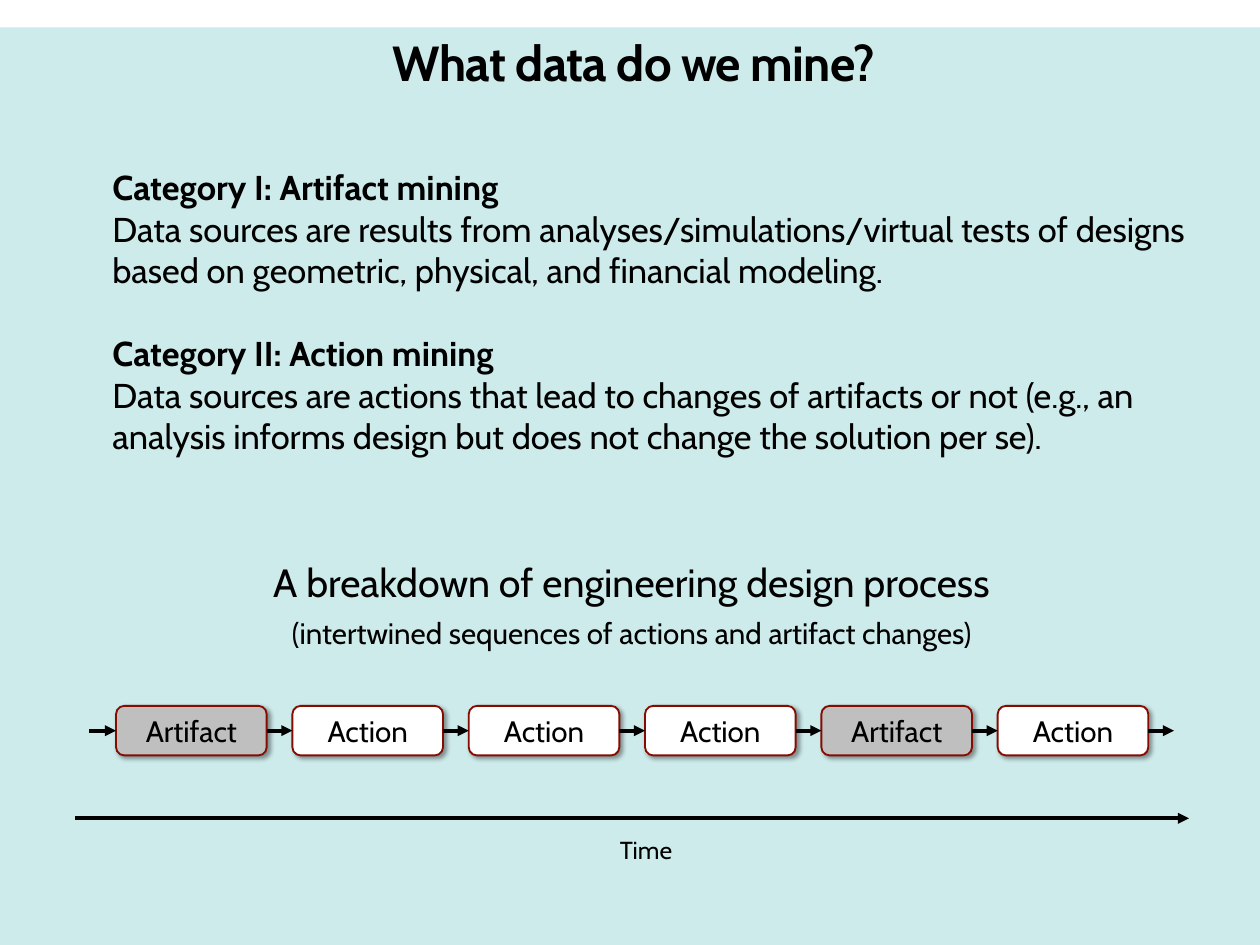
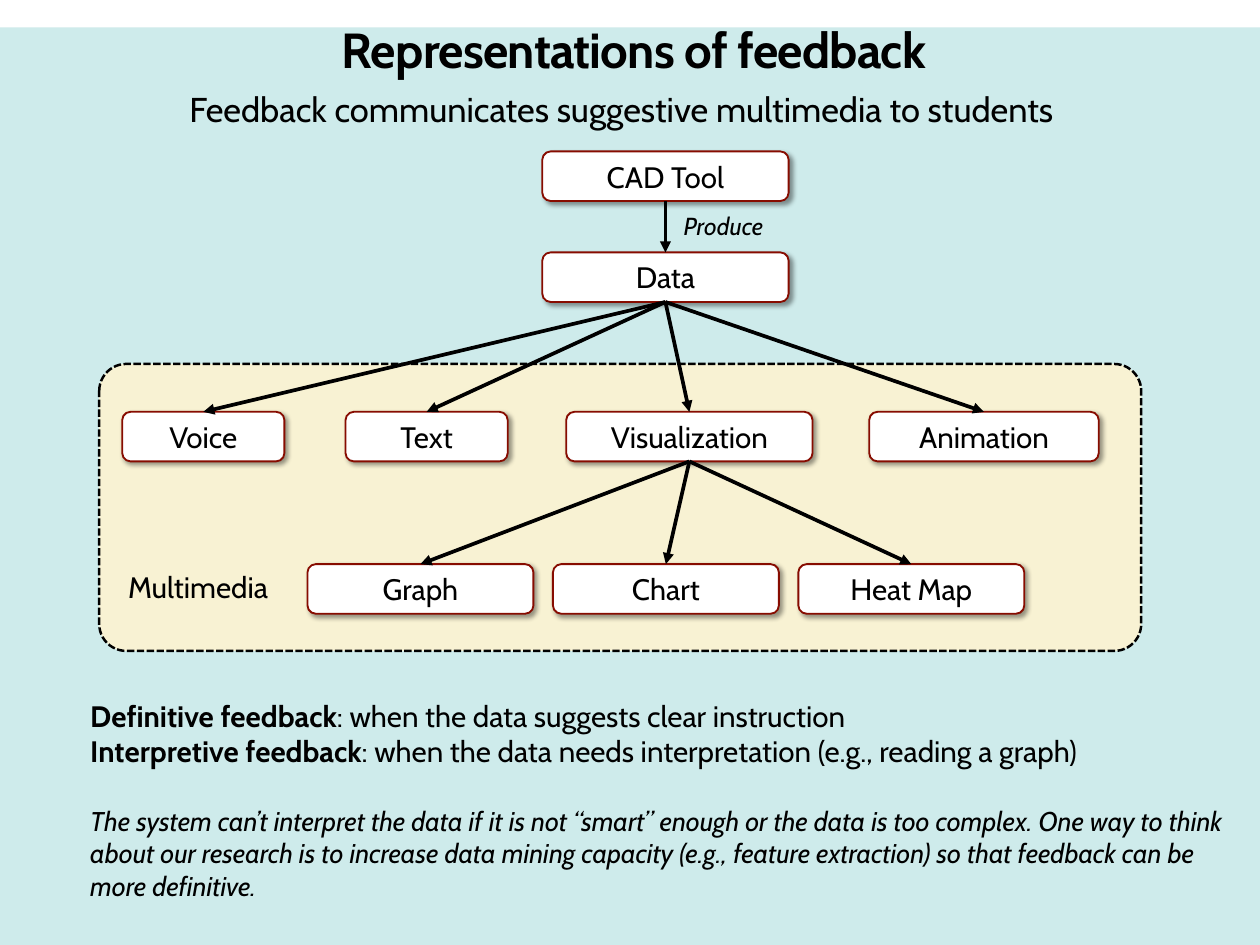
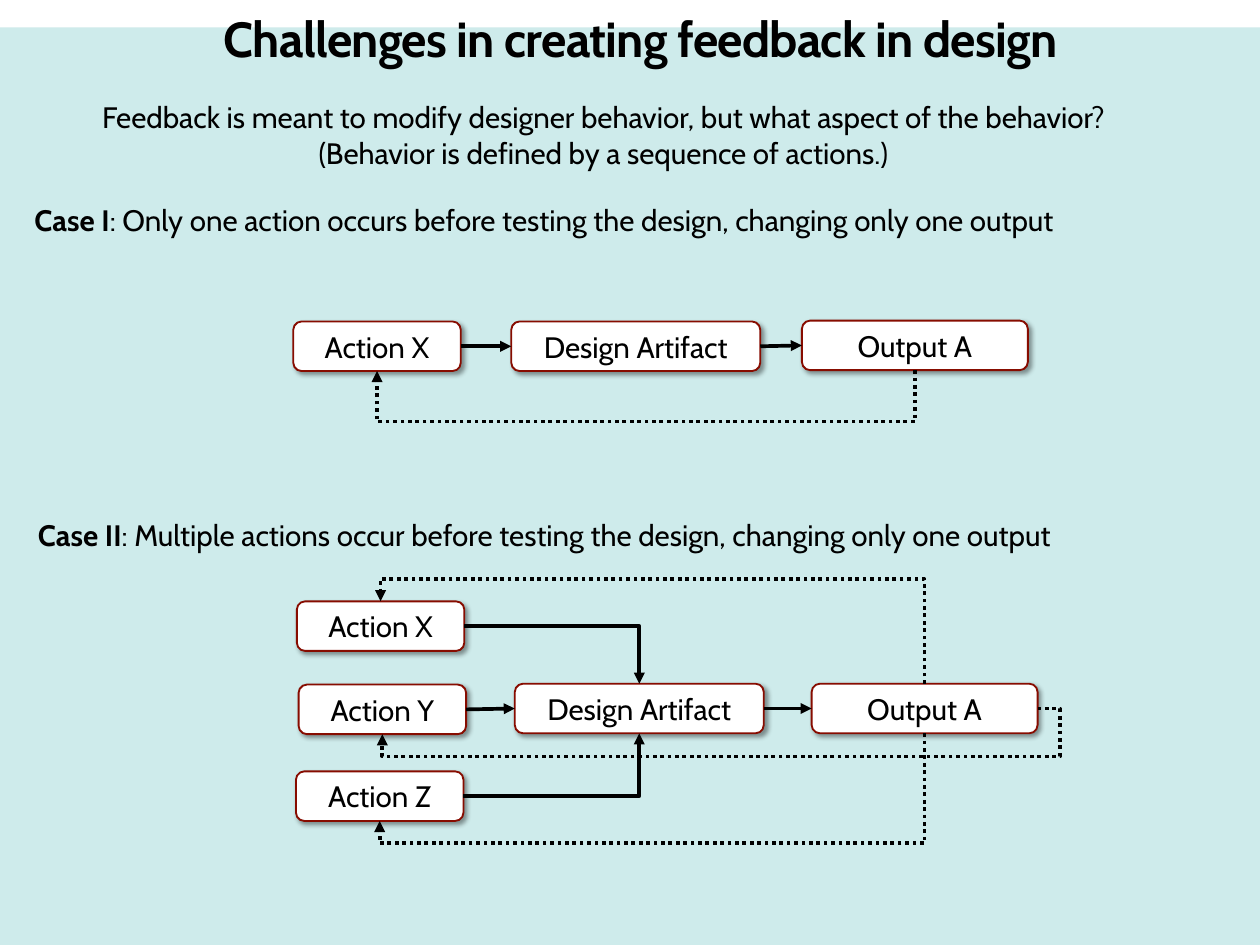
from lxml.etree import SubElement
from pptx import Presentation
from pptx.dml.color import RGBColor
from pptx.enum.dml import MSO_LINE as Dash
from pptx.enum.shapes import MSO_CONNECTOR as Connector, MSO_SHAPE as Shape
from pptx.enum.text import MSO_ANCHOR as Anchor, PP_ALIGN as Align
from pptx.oxml.ns import qn
from pptx.util import Inches, Pt

WIDTH, HEIGHT = 14.22, 10.67
BAND_TOP = 0.31
FONT = "Cabin"
NODE_HEIGHT = 0.56
DETOUR = 0.25
TOP, LEFT, BOTTOM, RIGHT = range(4)
COLORS = {
    "background": "CEEBEB", "text": "000000", "line": "000000", "border": "870C00",
    "action": "FFFFFF", "artifact": "BFBFBF", "panel": "F8F2D3", "shadow": "000000",
}

CATEGORIES = [
    {"runs": [("Category I: Artifact mining", True)]},
    {"runs": [("Data sources are results from analyses/simulations/virtual tests of designs "
               "based on geometric, physical, and financial modeling.", False)]},
    {"runs": [("Category II: Action mining", True)], "before": 34},
    {"runs": [("Data sources are actions that lead to changes of artifacts or not (e.g., an "
               "analysis informs design but does not change the solution per se).", False)]},
]
BREAKDOWN = [
    {"runs": [("A breakdown of engineering design process", False)], "size": 32, "after": 8},
    {"runs": [("(intertwined sequences of actions and artifact changes)", False)]},
]
PROCESS = ["Artifact", "Action", "Action", "Action", "Artifact", "Action"]
PROCESS_GRID = {"left": 1.31, "top": 7.97, "width": 1.7, "pitch": 1.99}

FEEDBACK_NODES = {
    "CAD Tool": (6.12, 1.71, 2.78),
    "Data": (6.12, 2.85, 2.78),
    "Voice": (1.38, 4.65, 1.83),
    "Text": (3.9, 4.65, 1.83),
    "Visualization": (6.39, 4.65, 2.78),
    "Animation": (9.81, 4.65, 2.59),
}
VISUALS = ["Graph", "Chart", "Heat Map"]
VISUAL_GRID = {"left": 3.47, "top": 6.37, "width": 2.55, "pitch": 2.77}
FEEDBACK_TREE = {
    "CAD Tool": ["Data"],
    "Data": ["Voice", "Text", "Visualization", "Animation"],
    "Visualization": VISUALS,
}
DEFINITIONS = [
    {"runs": [("Definitive feedback", True),
              (": when the data suggests clear instruction", False)]},
    {"runs": [("Interpretive feedback", True),
              (": when the data needs interpretation (e.g., reading a graph)", False)]},
    {"runs": [("The system can’t interpret the data if it is not “smart” enough or the data is "
               "too complex. One way to think about our research is to increase data mining "
               "capacity (e.g., feature extraction) so that feedback can be more definitive.",
               False)],
     "size": 22, "italic": True, "before": 29},
]

QUESTION = [
    {"runs": [("Feedback is meant to modify designer behavior, but what aspect of the behavior?",
               False)]},
    {"runs": [("(Behavior is defined by a sequence of actions.)", False)]},
]
CASES = [
    {
        "label": ("Case I", ": Only one action occurs before testing the design, "
                            "changing only one output"),
        "box": (0.29, 2.23, 12.99, 0.5),
        "nodes": {"Action X": (3.31, 3.63, 1.89), "Design Artifact": (5.77, 3.63, 2.81),
                  "Output A": (9.05, 3.62, 2.55)},
        "arrows": [("Action X", "Design Artifact"), ("Design Artifact", "Output A")],
        "elbows": [("under", "Output A", "Action X", 0.58)],
    },
    {
        "label": ("Case II", ": Multiple actions occur before testing the design, "
                             "changing only one output"),
        "box": (0.33, 5.79, 12.85, 0.5),
        "nodes": {"Action X": (3.35, 6.79, 1.89), "Action Y": (3.37, 7.73, 1.89),
                  "Action Z": (3.34, 8.71, 1.89), "Design Artifact": (5.81, 7.72, 2.81),
                  "Output A": (9.16, 7.72, 2.55)},
        "arrows": [("Action Y", "Design Artifact"), ("Design Artifact", "Output A")],
        "elbows": [("down", "Action X", "Design Artifact", 0),
                   ("up", "Action Z", "Design Artifact", 0),
                   ("over", "Output A", "Action X", DETOUR),
                   ("under", "Output A", "Action Z", DETOUR),
                   ("around", "Output A", "Action Y", DETOUR)],
    },
]
ELBOWS = {
    "under": ("bentConnector3", 90, None, BOTTOM, BOTTOM),
    "over": ("bentConnector3", 270, "flipV", TOP, TOP),
    "down": ("bentConnector2", 0, None, RIGHT, TOP),
    "up": ("bentConnector2", 0, "flipV", RIGHT, BOTTOM),
    "around": ("bentConnector4", 0, "flipH", RIGHT, BOTTOM),
}


def rgb(name):
    return RGBColor.from_string(COLORS[name])


def inches(*values):
    return [Inches(value) for value in values]


def write(frame, paragraphs, size, align):
    frame.word_wrap = True
    for index, item in enumerate(paragraphs):
        paragraph = frame.paragraphs[0] if index == 0 else frame.add_paragraph()
        paragraph.alignment = align
        paragraph.space_before = Pt(item.get("before", 0))
        paragraph.space_after = Pt(item.get("after", 0))
        font = paragraph.font
        font.name, font.size = FONT, Pt(item.get("size", size))
        font.italic = item.get("italic", False)
        font.color.rgb = rgb("text")
        for text, bold in item["runs"]:
            run = paragraph.add_run()
            run.text = text
            run.font.bold = bold


def add_text(slide, box, paragraphs, size, align=Align.LEFT):
    frame = slide.shapes.add_textbox(*inches(*box)).text_frame
    write(frame, paragraphs, size, align)
    return frame


def add_label(slide, box, text, size, italic=False):
    add_text(slide, box, [{"runs": [(text, False)], "italic": italic}], size, Align.CENTER)


def add_box(slide, preset, box, fill, border=None, width=0):
    shape = slide.shapes.add_shape(preset, *inches(*box))
    shape.shadow.inherit = False
    shape.fill.solid()
    shape.fill.fore_color.rgb = rgb(fill)
    if border:
        shape.line.color.rgb = rgb(border)
        shape.line.width = Pt(width)
    else:
        shape.line.fill.background()
    return shape


def add_node(slide, text, left, top, width, fill="action"):
    node = add_box(slide, Shape.FLOWCHART_ALTERNATE_PROCESS, (left, top, width, NODE_HEIGHT),
                   fill, "border", 1.5)
    effects = node._element.spPr.find(qn("a:effectLst"))
    shadow = SubElement(effects, qn("a:outerShdw"), blurRad=str(Pt(4)), dist=str(Pt(3)),
                        dir="2700000", algn="tl", rotWithShape="0")
    color = SubElement(shadow, qn("a:srgbClr"), val=COLORS["shadow"])
    SubElement(color, qn("a:alpha"), val="40000")
    node.text_frame.vertical_anchor = Anchor.MIDDLE
    write(node.text_frame, [{"runs": [(text, False)]}], 24, Align.CENTER)
    return node


def add_nodes(slide, places):
    return {text: add_node(slide, text, *place) for text, place in places.items()}


def grid_places(count, grid):
    return [(grid["left"] + index * grid["pitch"], grid["top"], grid["width"])
            for index in range(count)]


def add_arrow(slide, start=(0, 0), end=(0, 0), kind=Connector.STRAIGHT):
    arrow = slide.shapes.add_connector(kind, *inches(*start, *end))
    arrow.line.color.rgb = rgb("line")
    arrow.line.width = Pt(3)
    SubElement(arrow.line._get_or_add_ln(), qn("a:tailEnd"), type="triangle")
    SubElement(arrow._element.spPr, qn("a:effectLst"))
    return arrow


def join(slide, source, target, source_side=RIGHT, target_side=LEFT, kind=Connector.STRAIGHT):
    arrow = add_arrow(slide, kind=kind)
    arrow.begin_connect(source, source_side)
    arrow.end_connect(target, target_side)
    return arrow


def add_elbow(slide, kind, source, target, detour):
    preset, angle, flip, source_side, target_side = ELBOWS[kind]
    elbow = join(slide, source, target, source_side, target_side, Connector.ELBOW)
    left, top, width, height = elbow.left, elbow.top, elbow.width, elbow.height
    if angle:
        left, top = left + (width - height) // 2, top + (height - width) // 2
        width, height = height, width
    elbow.left, elbow.top, elbow.width, elbow.height = left, top, width, height
    properties = elbow._element.spPr
    frame = properties.find(qn("a:xfrm"))
    for name in ("flipH", "flipV"):
        frame.attrib.pop(name, None)
    frame.set("rot", str(angle * 60000))
    if flip:
        frame.set(flip, "1")
    beyond = Inches(detour)
    adjustments = {
        "bentConnector2": [],
        "bentConnector3": [("adj1", (width + beyond) / width if width else 1)],
        "bentConnector4": [("adj1", -beyond / width), ("adj2", (height + beyond) / height)],
    }[preset]
    geometry = properties.find(qn("a:prstGeom"))
    geometry.set("prst", preset)
    guides = geometry.find(qn("a:avLst"))
    for name, share in adjustments:
        SubElement(guides, qn("a:gd"), name=name, fmla=f"val {round(share * 100000)}")
    if detour:
        elbow.line.dash_style = Dash.ROUND_DOT


def add_slide(presentation, title, title_box):
    slide = presentation.slides.add_slide(presentation.slide_layouts[6])
    add_box(slide, Shape.RECTANGLE, (0, BAND_TOP, WIDTH, HEIGHT - BAND_TOP), "background")
    frame = add_text(slide, title_box, [{"runs": [(title, True)]}], 40, Align.CENTER)
    frame.vertical_anchor = Anchor.MIDDLE
    paragraph = frame.paragraphs[0]
    paragraph.line_spacing = 0.9
    paragraph.runs[0].font._element.set("spc", "-60")
    return slide


def build_data_slide(presentation):
    slide = add_slide(presentation, "What data do we mine?", (0.54, 0.41, 13.23, 0.65))
    add_text(slide, (1.17, 1.83, 12.66, 3.4), CATEGORIES, 28)
    add_text(slide, (0.85, 6.25, 12.56, 1.4), BREAKDOWN, 24, Align.CENTER)
    steps = [add_node(slide, text, *place, fill=text.lower())
             for text, place in zip(PROCESS, grid_places(len(PROCESS), PROCESS_GRID))]
    for source, target in zip(steps, steps[1:]):
        join(slide, source, target)
    middle = PROCESS_GRID["top"] + NODE_HEIGHT / 2
    add_arrow(slide, (1.01, middle)).end_connect(steps[0], LEFT)
    add_arrow(slide, end=(13.25, middle)).begin_connect(steps[-1], RIGHT)
    add_arrow(slide, (0.85, 9.24), (13.42, 9.24))
    add_label(slide, (6.83, 9.38, 0.92, 0.31), "Time", 20)


def build_feedback_slide(presentation):
    slide = add_slide(presentation, "Representations of feedback", (0.54, 0.27, 13.23, 0.65))
    add_label(slide, (0.07, 0.95, 13.88, 0.57),
              "Feedback communicates suggestive multimedia to students", 28)
    add_text(slide, (0.92, 7.83, 12.99, 2.42), DEFINITIONS, 24)
    panel = add_box(slide, Shape.ROUNDED_RECTANGLE, (1.12, 4.11, 11.76, 3.24), "panel", "line", 2)
    panel.adjustments[0] = 0.094
    panel.line.dash_style = Dash.SQUARE_DOT
    visuals = zip(VISUALS, grid_places(len(VISUALS), VISUAL_GRID))
    nodes = add_nodes(slide, {**FEEDBACK_NODES, **dict(visuals)})
    for parent, children in FEEDBACK_TREE.items():
        for child in children:
            join(slide, nodes[parent], nodes[child], BOTTOM, TOP)
    add_label(slide, (7.4, 2.33, 1.53, 0.44), "Produce", 20, italic=True)
    add_label(slide, (1.27, 6.37, 1.93, 0.5), "Multimedia", 24)


def build_challenges_slide(presentation):
    slide = add_slide(presentation, "Challenges in creating feedback in design",
                      (1.29, 0.09, 11.88, 0.77))
    add_text(slide, (0.35, 1.07, 12.92, 0.91), QUESTION, 24, Align.CENTER)
    for case in CASES:
        name, statement = case["label"]
        add_text(slide, case["box"], [{"runs": [(name, True), (statement, False)]}], 24)
        nodes = add_nodes(slide, case["nodes"])
        for source, target in case["arrows"]:
            join(slide, nodes[source], nodes[target])
        for kind, source, target, detour in case["elbows"]:
            add_elbow(slide, kind, nodes[source], nodes[target], detour)


def main():
    presentation = Presentation()
    presentation.slide_width, presentation.slide_height = inches(WIDTH, HEIGHT)
    build_data_slide(presentation)
    build_feedback_slide(presentation)
    build_challenges_slide(presentation)
    presentation.save("out.pptx")


if __name__ == "__main__":
    main()
